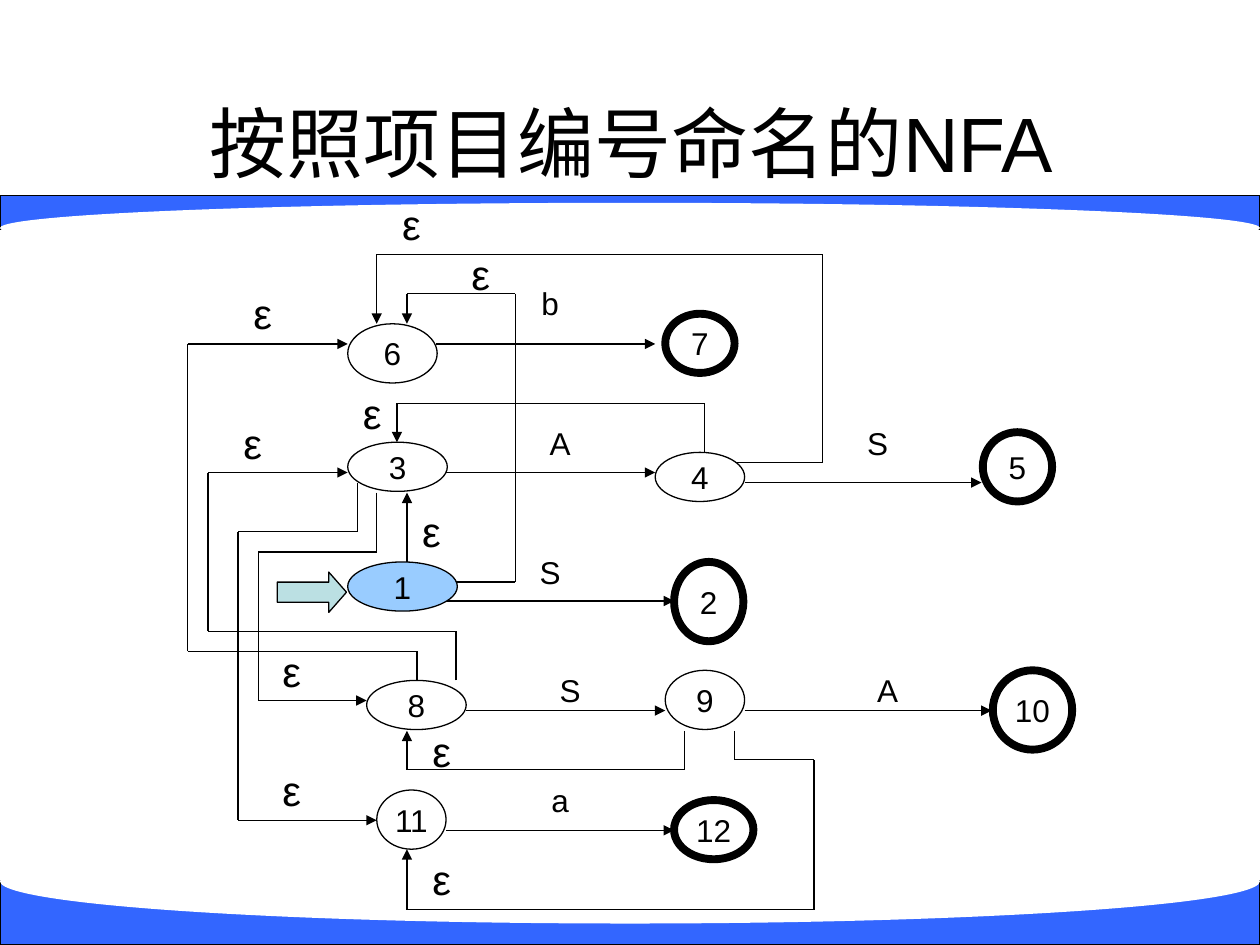
"""Build the slide with the item-numbered NFA."""
from itertools import pairwise

from lxml.etree import SubElement
from pptx import Presentation
from pptx.dml.color import RGBColor as RGB
from pptx.enum.shapes import MSO_CONNECTOR as Link, MSO_SHAPE as Shape
from pptx.enum.text import MSO_ANCHOR as Anchor, MSO_AUTO_SIZE as Fit, PP_ALIGN as Align
from pptx.oxml.ns import qn
from pptx.util import Inches, Pt

BLACK = RGB(0x00, 0x00, 0x00)
WHITE = RGB(0xFF, 0xFF, 0xFF)
BLUE = RGB(0x33, 0x66, 0xFF)
SKY = RGB(0x99, 0xCC, 0xFF)
TEAL = RGB(0xBB, 0xE0, 0xE3)
THIN, THICK = 0.75, 4.5

BANDS = [
    ((0, 1.55, 10, 0.27), (0, 1.61, 10, 0.4)),
    ((0, 6.99, 10, 0.51), (0, 6.66, 10, 0.67)),
]

EDGES = [
    [(3.46, 2.73), (5.2, 2.73)],
    [(3.54, 3.75), (5.2, 3.75)],
    [(3.54, 4.77), (5.35, 4.77)],
    [(3.7, 5.64), (5.28, 5.64)],
    [(3.54, 6.59), (5.35, 6.59)],
    [(5.91, 3.83), (7.79, 3.83)],
    [(5.91, 5.64), (7.87, 5.64)],
    [(3.23, 4.46), (3.23, 3.91)],
    [(3.62, 4.62), (4.09, 4.62), (4.09, 2.33), (3.23, 2.33), (3.23, 2.57)],
    [(2.84, 3.83), (2.84, 4.22), (1.89, 4.22), (1.89, 6.51), (2.99, 6.51)],
    [(2.99, 3.91), (2.99, 4.38), (2.05, 4.38), (2.05, 5.56), (2.91, 5.56)],
    [(5.83, 3.67), (6.53, 3.67), (6.53, 2.02), (2.99, 2.02), (2.99, 2.57)],
    [(5.59, 3.59), (5.59, 3.2), (3.15, 3.2), (3.15, 3.51)],
    [(3.31, 5.4), (3.31, 5.17), (1.49, 5.17), (1.49, 2.73), (2.76, 2.73)],
    [(3.62, 5.4), (3.62, 5.01), (1.65, 5.01), (1.65, 3.75), (2.76, 3.75)],
    [(5.43, 5.8), (5.43, 6.11), (3.23, 6.11), (3.23, 5.8)],
    [(5.83, 5.8), (5.83, 6.03), (6.46, 6.03), (6.46, 7.22), (3.23, 7.22), (3.23, 6.74)],
]

LABELS = {
    "b": [(4.17, 2.25)],
    "A": [(4.25, 3.36), (6.85, 5.32)],
    "S": [(6.77, 3.36), (4.17, 4.38), (4.33, 5.32)],
    "a": [(4.25, 6.19)],
    "ε": [(1.89, 2.33), (1.81, 3.36), (2.12, 6.11), (2.12, 5.17), (3.07, 1.62),
          (3.62, 2.02), (2.76, 3.12), (3.31, 6.82), (3.31, 5.8), (3.23, 4.06)],
}

NODES = {
    1: (2.76, 4.46, 0.87, 0.39),
    2: (5.35, 4.46, 0.55, 0.63),
    3: (2.76, 3.51, 0.79, 0.39),
    4: (5.2, 3.59, 0.71, 0.39),
    5: (7.8, 3.43, 0.55, 0.55),
    6: (2.76, 2.57, 0.71, 0.47),
    7: (5.28, 2.49, 0.55, 0.47),
    8: (2.91, 5.4, 0.79, 0.39),
    9: (5.28, 5.32, 0.63, 0.47),
    10: (7.88, 5.32, 0.63, 0.63),
    11: (2.99, 6.27, 0.55, 0.47),
    12: (5.35, 6.35, 0.63, 0.47),
}
FINAL = {2, 5, 7, 10, 12}
START = 1


def write(frame, text, size=18, wrap=False):
    """Put one centred line of text in a frame."""
    frame.auto_size = Fit.NONE
    frame.word_wrap = wrap
    frame.vertical_anchor = Anchor.MIDDLE
    para = frame.paragraphs[0]
    para.alignment = Align.CENTER
    run = para.add_run()
    run.text = text
    run.font.size = Pt(size)
    run.font.name = "Arial"
    run.font.color.rgb = BLACK


def draw(slide, kind, box, fill=None, width=THIN):
    """Add a preset shape with a black outline, or none at width 0."""
    shape = slide.shapes.add_shape(kind, *map(Inches, box))
    shape.shadow.inherit = False
    if fill is None:
        shape.fill.background()
    else:
        shape.fill.solid()
        shape.fill.fore_color.rgb = fill
    if width:
        shape.line.color.rgb = BLACK
        shape.line.width = Pt(width)
    else:
        shape.line.fill.background()
    return shape


def edge(slide, points):
    """Join points by straight legs, with an arrowhead on the last."""
    for start, end in pairwise(points):
        leg = slide.shapes.add_connector(Link.STRAIGHT, *map(Inches, start + end))
        leg.line.color.rgb = BLACK
        leg.line.width = Pt(THIN)
        SubElement(leg.element.spPr, qn("a:effectLst"))
    SubElement(leg.line._get_or_add_ln(), qn("a:tailEnd"), type="triangle")


def label(slide, text, spot):
    """Add an edge label."""
    box = slide.shapes.add_textbox(*map(Inches, spot + (0.39, 0.31)))
    write(box.text_frame, text, size=24 if text == "ε" else 18)


def node(slide, num, box):
    """Add a numbered state, heavy when it is final."""
    fill = SKY if num == START else None
    width = THICK if num in FINAL else THIN
    shape = draw(slide, Shape.OVAL, box, fill=fill, width=width)
    write(shape.text_frame, str(num))


def head(slide, text):
    """Place and fill the title."""
    title = slide.shapes.title
    title.left, title.top, title.width, title.height = map(Inches, (0.51, 0.7, 9, 0.85))
    write(title.text_frame, text, size=44, wrap=True)


def main():
    """Build and save the slide."""
    deck = Presentation()
    deck.slide_width, deck.slide_height = Inches(10), Inches(7.5)
    slide = deck.slides.add_slide(deck.slide_layouts[5])
    for bar, curve in BANDS:
        draw(slide, Shape.RECTANGLE, bar, fill=BLUE)
        draw(slide, Shape.OVAL, curve, fill=WHITE, width=0)
    head(slide, "按照项目编号命名的NFA")
    arrow = draw(slide, Shape.RIGHT_ARROW, (2.2, 4.54, 0.55, 0.32), fill=TEAL)
    arrow.adjustments[1] = 0.44
    for points in EDGES:
        edge(slide, points)
    for text, spots in LABELS.items():
        for spot in spots:
            label(slide, text, spot)
    for num, box in NODES.items():
        node(slide, num, box)
    deck.save("out.pptx")


if __name__ == "__main__":
    main()
